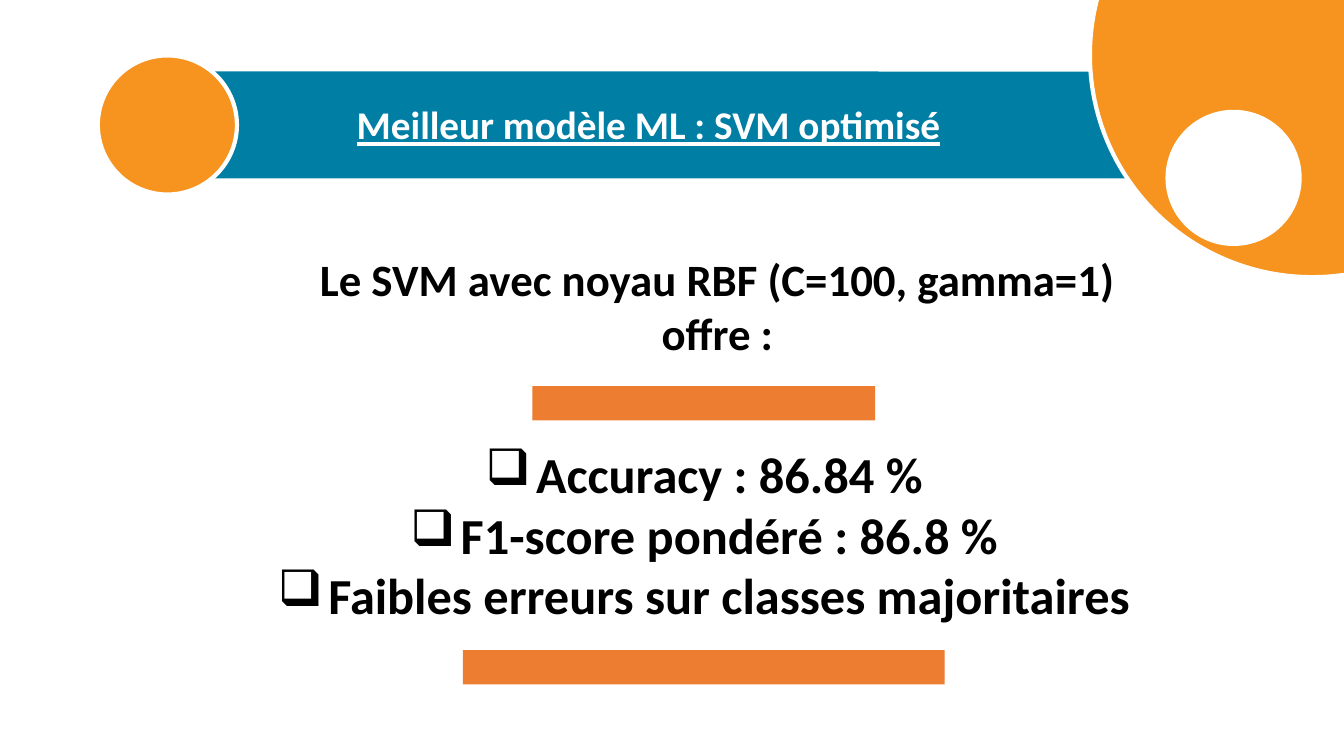
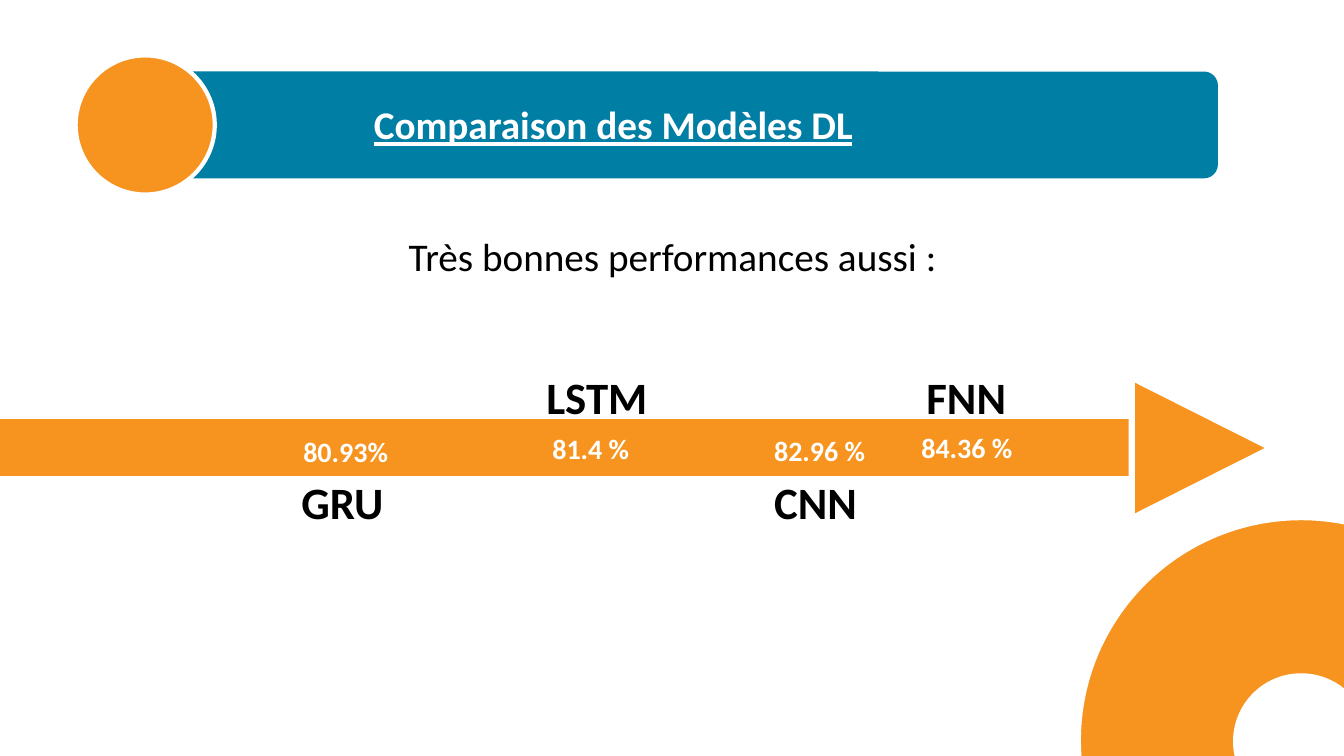
from dataclasses import dataclass

from lxml.etree import SubElement
from pptx import Presentation
from pptx.dml.color import RGBColor as Rgb
from pptx.enum.shapes import MSO_SHAPE as Kind
from pptx.enum.text import MSO_AUTO_SIZE as Fit, PP_ALIGN as Align
from pptx.oxml.ns import qn
from pptx.util import Inches, Pt


@dataclass(frozen=True)
class Theme:
    font: str = "Calibri"
    teal: str = "007EA4"
    gold: str = "F7941F"
    rust: str = "ED7D31"
    white: str = "FFFFFF"
    black: str = "000000"
    small: int = 20
    title: int = 28
    large: int = 32
    huge: int = 36
    thin: float = 3
    thick: float = 4.5


class Deck:
    """Hold the style and the current slide, and draw each kind of element."""

    def __init__(self, theme):
        self.theme = theme
        self.show = Presentation()
        self.show.slide_width = Inches(13.33)
        self.show.slide_height = Inches(7.5)
        self.slide = None

    def shape(self, kind, box, fill, line=None):
        item = self.slide.shapes.add_shape(kind, *map(Inches, box))
        item.shadow.inherit = False
        item.fill.solid()
        item.fill.fore_color.rgb = Rgb.from_string(fill)
        if line:
            item.line.color.rgb = Rgb.from_string(self.theme.white)
            item.line.width = Pt(line)
        else:
            item.line.fill.background()
        return item

    def disc(self, left, top, size, fill):
        self.shape(Kind.OVAL, (left, top, size, size), fill, self.theme.thin)

    def ring(self, left, top, hole):
        self.disc(left, top, 4.41, self.theme.gold)
        self.disc(*hole, 1.31, self.theme.white)

    def bar(self, left, top, width):
        self.shape(Kind.RECTANGLE, (left, top, width, 0.34), self.theme.rust)

    def text(self, box, lines, size, color=None, bold=True, under=False,
             align=Align.CENTER, mark=None):
        frame = self.slide.shapes.add_textbox(*map(Inches, box)).text_frame
        frame.word_wrap = True
        frame.auto_size = Fit.SHAPE_TO_FIT_TEXT
        for pos, line in enumerate(lines):
            para = frame.add_paragraph() if pos else frame.paragraphs[0]
            para.text = line
            para.alignment = align
            if mark:
                self.bullet(para, mark)
            font = para.font
            font.name = self.theme.font
            font.size = Pt(size)
            font.bold = bold
            font.underline = under
            font.color.rgb = Rgb.from_string(color or self.theme.black)

    def bullet(self, para, mark):
        props = para._p.get_or_add_pPr()
        props.set("marL", str(Inches(0.5)))
        props.set("indent", str(-Inches(0.5)))
        SubElement(props, qn("a:buChar")).set("char", mark)

    def page(self, title, left, width, knob, ring):
        theme = self.theme
        self.slide = self.show.slides.add_slide(self.show.slide_layouts[6])
        band = self.shape(Kind.ROUNDED_RECTANGLE, (1.25, 0.71, 10.83, 1.06),
                          theme.teal)
        band.adjustments[0] = 0.13
        self.ring(*ring)
        self.disc(knob, 0.55, 1.38, theme.gold)
        self.text((left, 0.95, width, 0.57), [title], theme.title,
                  theme.white, under=True, align=Align.LEFT)

    def arrow(self):
        theme = self.theme
        self.shape(Kind.RECTANGLE, (-0.92, 4.13, 12.24, 0.62),
                   theme.gold, theme.thick)
        head = self.shape(Kind.ISOSCELES_TRIANGLE, (11.22, 3.75, 1.4, 1.39),
                          theme.gold, theme.thick)
        head.rotation = 90

    def score(self, name, left, top, rate, start, level):
        theme = self.theme
        self.text((left, top, 1.52, 0.64), [name], theme.large,
                  align=Align.LEFT)
        self.text((start, level, 1.17, 0.44), [rate], theme.small,
                  theme.white, align=Align.LEFT)


def main():
    theme = Theme()
    deck = Deck(theme)

    deck.page("Meilleur modèle ML : SVM optimisé", 3.44, 6.44, 0.97,
              (10.81, -1.66, (11.58, 1.11)))
    deck.text((2.64, 2.45, 8.95, 1.18),
              ["Le SVM avec noyau RBF (C=100, gamma=1) offre :"], theme.large)
    deck.bar(5.28, 3.83, 3.4)
    deck.text((2.64, 4.35, 8.69, 1.92),
              ["Accuracy : 86.84 %", "F1-score pondéré : 86.8 %",
               "Faibles erreurs sur classes majoritaires"],
              theme.huge, mark="❑")
    deck.bar(4.59, 6.45, 4.78)

    deck.page("Comparaison des Modèles DL", 3.61, 5.33, 0.75,
              (10.7, 5.14, (12.25, 6.7)))
    deck.text((2.64, 2.26, 8.06, 0.57), ["Très bonnes performances aussi :"],
              theme.title, bold=False)
    deck.arrow()
    above, below = 3.62, 4.66
    for row in (("GRU", 2.89, below, "80.93%", 2.91, 4.26),
                ("LSTM", 5.32, above, "81.4 %", 5.38, 4.23),
                ("CNN", 7.58, below, "82.96 %", 7.58, 4.25),
                ("FNN", 9.09, above, "84.36 %", 9.04, 4.22)):
        deck.score(*row)

    deck.show.save("out.pptx")


if __name__ == "__main__":
    main()
